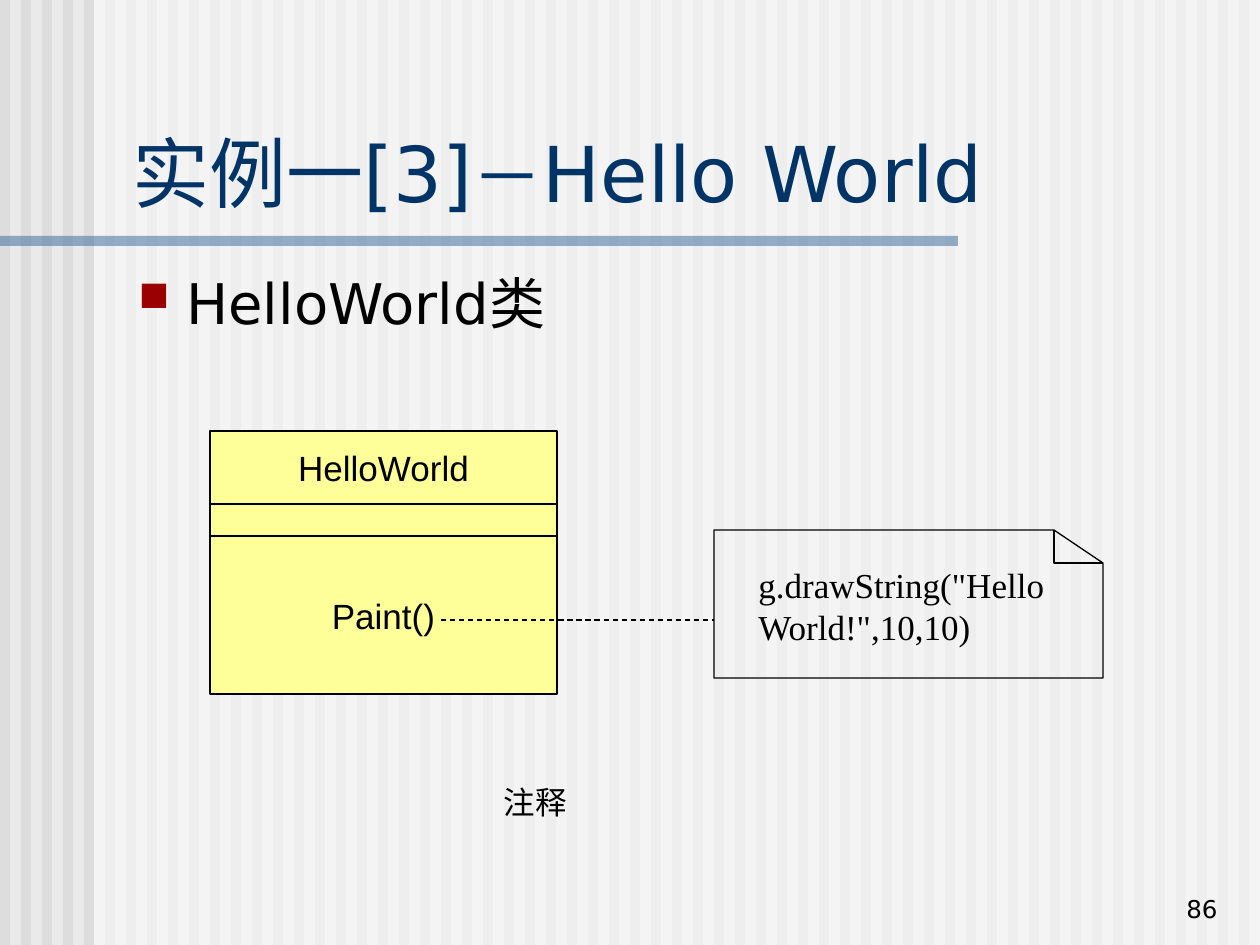
from dataclasses import dataclass

from lxml import etree
from pptx import Presentation
from pptx.dml.color import RGBColor
from pptx.enum.dml import MSO_LINE
from pptx.enum.shapes import MSO_CONNECTOR, MSO_SHAPE
from pptx.enum.text import MSO_ANCHOR, MSO_AUTO_SIZE, PP_ALIGN
from pptx.oxml.ns import qn
from pptx.util import Pt

PX = 914400 / 126
RECTANGLE, STRAIGHT, DASH = MSO_SHAPE.RECTANGLE, MSO_CONNECTOR.STRAIGHT, MSO_LINE.DASH
TOP, MIDDLE, BOTTOM = MSO_ANCHOR.TOP, MSO_ANCHOR.MIDDLE, MSO_ANCHOR.BOTTOM
LEFT, CENTER, RIGHT = PP_ALIGN.LEFT, PP_ALIGN.CENTER, PP_ALIGN.RIGHT


@dataclass(frozen=True)
class Theme:
    ground: str = "EAEAEA"
    stripe: str = "DDDDDD"
    veil: str = "FFFFFF"
    rule: str = "336699"
    title: str = "003366"
    ink: str = "000000"
    bullet: str = "9A0000"
    class_fill: str = "FFFF99"
    sans: str = "DejaVu Sans"
    diagram: str = "Arial"
    code: str = "Times New Roman"
    title_size: int = 44
    dash_size: int = 40
    body_size: int = 32
    diagram_size: int = 20
    caption_size: int = 18
    number_size: int = 14


THEME = Theme()


def emu(*lengths):
    return [round(length * PX) for length in lengths]


def add_block(slide, box, fill, opacity=100, line_width=None):
    block = slide.shapes.add_shape(RECTANGLE, *emu(*box))
    block.shadow.inherit = False
    block.fill.solid()
    block.fill.fore_color.rgb = RGBColor.from_string(fill)
    if opacity < 100:
        color = block.fill._xPr.find(qn("a:solidFill"))[0]
        etree.SubElement(color, qn("a:alpha"), val=str(opacity * 1000))
    if line_width:
        draw_line(block, line_width)
    else:
        block.line.fill.background()
    return block


def draw_line(outline, width):
    outline.line.color.rgb = RGBColor.from_string(THEME.ink)
    outline.line.width = Pt(width)


def write(holder, pieces, font, color=THEME.ink, align=LEFT, anchor=TOP, wrap=True):
    """Fill a shape with one paragraph made of (text, size) pieces."""
    frame = holder.text_frame
    settings = {"word_wrap": wrap, "vertical_anchor": anchor,
                "auto_size": MSO_AUTO_SIZE.NONE}
    for name, value in settings.items():
        setattr(frame, name, value)
    paragraph = frame.paragraphs[0]
    paragraph.alignment = align
    for text, size in pieces:
        run = paragraph.add_run()
        run.text = text
        for name, value in {"name": font, "size": Pt(size)}.items():
            setattr(run.font, name, value)
        run.font.color.rgb = RGBColor.from_string(color)
    return paragraph


def add_text(slide, box, text, size, font, **layout):
    return write(slide.shapes.add_textbox(*emu(*box)), [(text, size)], font, **layout)


def add_background(slide, box):
    left, top, width, height = box
    pitch, stripe_width, margin = 21, 10, 94
    slide.background.fill.solid()
    slide.background.fill.fore_color.rgb = RGBColor.from_string(THEME.ground)
    for x in range(left, left + width, pitch):
        add_block(slide, (x, top, stripe_width, height), THEME.stripe)
    add_block(slide, (left + margin, top, width - margin, height), THEME.veil, 50)
    add_block(slide, (left, top + 236, 958, 10), THEME.rule, 50)


def add_title(slide, box):
    title = slide.shapes.title
    slide.shapes._spTree.append(title._element)  # in front of the background
    title.left, title.top, title.width, title.height = emu(*box)
    write(title, [("实例一[3]", THEME.title_size), ("－", THEME.dash_size),
                  ("Hello World", THEME.title_size)],
          THEME.sans, THEME.title, anchor=BOTTOM)


def add_bullet_line(slide, box):
    paragraph = add_text(slide, box, "HelloWorld类", THEME.body_size, THEME.sans)
    properties = paragraph._p.get_or_add_pPr()
    indent = emu(48)[0]
    properties.set("marL", str(indent))
    properties.set("indent", str(-indent))
    bullet_color = etree.SubElement(properties, qn("a:buClr"))
    etree.SubElement(bullet_color, qn("a:srgbClr"), val=THEME.bullet)
    etree.SubElement(properties, qn("a:buSzPct"), val="75000")
    etree.SubElement(properties, qn("a:buChar"), char="■")


def add_class_diagram(slide, box):
    left, top, width, _ = box
    compartments = [("HelloWorld", 73, 1), ("", 32, 1), ("Paint()", 158, 0.75)]
    for label, height, line_width in compartments:
        compartment = add_block(slide, (left, top, width, height), THEME.class_fill,
                                line_width=line_width)
        if label:
            write(compartment, [(label, THEME.diagram_size)], THEME.diagram,
                  align=CENTER, anchor=MIDDLE, wrap=False)
        top += height


def add_note(slide, box):
    """Draw a sheet with its top right corner folded, and the code on it."""
    left, top, width, height = box
    right, bottom = left + width, top + height
    fold_x, fold_y = right - 49, top + 33
    builder = slide.shapes.build_freeform(left, top, scale=PX)
    builder.add_line_segments([(fold_x, top), (right, fold_y), (right, bottom),
                               (left, bottom)], close=True)
    builder.move_to(fold_x, top)
    builder.add_line_segments([(fold_x, fold_y), (right, fold_y)], close=False)
    sheet = builder.convert_to_shape()
    sheet.shadow.inherit = False
    sheet.fill.background()
    draw_line(sheet, 0.75)
    add_text(slide, (left + 32, top + 27, 368, 97), 'g.drawString("Hello World!",10,10)',
             THEME.diagram_size, THEME.code)


def add_note_link(slide, start, end):
    link = slide.shapes.add_connector(STRAIGHT, *emu(*start, *end))
    draw_line(link, 0.75)
    link.line.dash_style = DASH
    etree.SubElement(link._element.spPr, qn("a:effectLst"))


def main():
    deck = Presentation()
    deck.slide_width, deck.slide_height = emu(1260, 945)
    slide = deck.slides.add_slide(deck.slide_layouts[5])
    add_background(slide, (0, 0, 1260, 945))
    add_title(slide, (120, 118, 1125, 106))
    add_bullet_line(slide, (126, 262, 1118, 84))
    add_class_diagram(slide, (210, 431, 347, 263))
    add_note(slide, (714, 530, 389, 148))
    add_note_link(slide, (441, 620), (714, 620))
    add_text(slide, (451, 777, 168, 50), "注释", THEME.caption_size, THEME.diagram,
             align=CENTER)
    add_text(slide, (968, 867, 262, 63), "86", THEME.number_size, THEME.sans,
             align=RIGHT, anchor=BOTTOM)
    deck.save("out.pptx")


if __name__ == "__main__":
    main()
